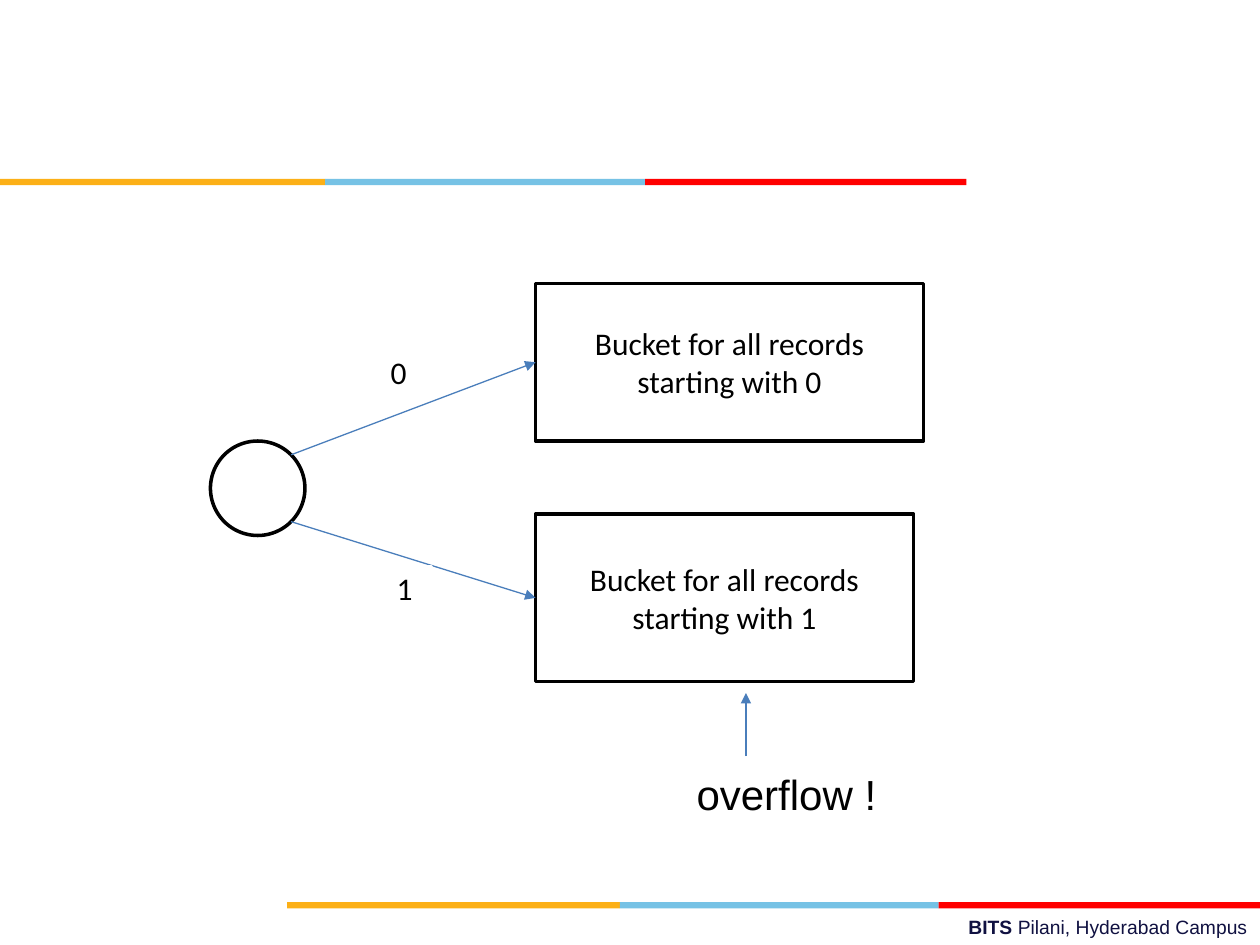
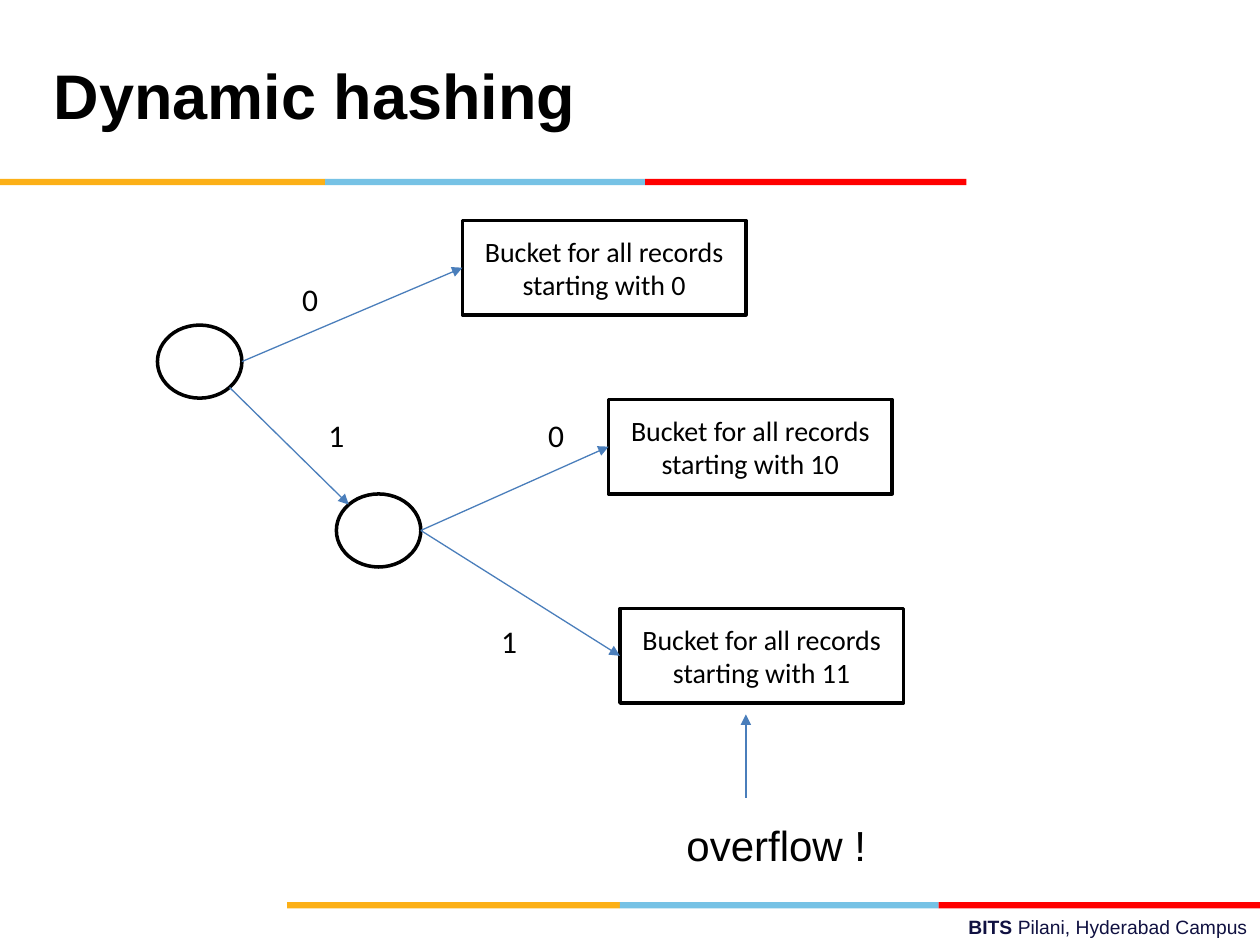
import pptx
import pptx.dml.color
import pptx.enum.shapes
import pptx.enum.text
import pptx.oxml.ns
import pptx.util
from lxml import etree
from pptx.util import Inches

BLACK, WHITE = "000000", "FFFFFF"
GOLD, SKY, RED = "FCB017", "76C2E5", "FF0000"
NAVY, ARROW_BLUE = "101141", "4A7EBB"

# Connection sites as fractions of a shape's width and height
NEAR, FAR = 0.146, 0.854
LEFT, RIGHT = (0, 0.5), (1, 0.5)
TOP_LEFT, TOP_RIGHT, BOTTOM_RIGHT = (NEAR, NEAR), (FAR, NEAR), (FAR, FAR)

SHAPES = pptx.enum.shapes.MSO_SHAPE
ALIGN = pptx.enum.text.PP_ALIGN
MIDDLE = pptx.enum.text.MSO_ANCHOR.MIDDLE


def color(hex_string):
    return pptx.dml.color.RGBColor.from_string(hex_string)


def site(shape, fractions):
    """Return the point of a shape at the given fractions of its size."""
    across, down = fractions
    return (round(shape.left + shape.width * across),
            round(shape.top + shape.height * down))


class Deck:
    def __init__(self):
        self.presentation = pptx.Presentation()
        self.presentation.slide_width = Inches(10)
        self.presentation.slide_height = Inches(7.5)
        self.slide = None

    def new_slide(self):
        layout = self.presentation.slide_layouts[6]
        self.slide = self.presentation.slides.add_slide(layout)
        self.band(1.42, (0, 2.58, 5.12, 7.67))
        self.band(7.16, (2.28, 4.92, 7.45, 10))
        self.footer()

    def shape(self, kind, left, top, width, height, fill, line=None):
        shape = self.slide.shapes.add_shape(
            kind, Inches(left), Inches(top), Inches(width), Inches(height))
        shape.shadow.inherit = False
        shape.fill.solid()
        shape.fill.fore_color.rgb = color(fill)
        if line:
            shape.line.color.rgb = color(line)
            shape.line.width = pptx.util.Pt(2)
        else:
            shape.line.fill.background()
        return shape

    def band(self, top, edges):
        for left, right, fill in zip(edges, edges[1:], (GOLD, SKY, RED)):
            self.shape(SHAPES.RECTANGLE, left, top, right - left, 0.05, fill)

    def set_text(self, shape, text, size, font="Arial", fill=BLACK, align=ALIGN.LEFT):
        shape.text_frame.word_wrap = True
        shape.text_frame.vertical_anchor = MIDDLE
        paragraph = shape.text_frame.paragraphs[0]
        paragraph.text = text
        paragraph.alignment = align
        paragraph.font.size = pptx.util.Pt(size)
        paragraph.font.name = font
        paragraph.font.color.rgb = color(fill)
        return paragraph

    def text(self, left, top, width, height, text, size, **style):
        box = self.slide.shapes.add_textbox(
            Inches(left), Inches(top), Inches(width), Inches(height))
        return self.set_text(box, text, size, **style)

    def footer(self):
        paragraph = self.text(3.58, 7.21, 6.42, 0.29, "BITS ", 11,
                              fill=NAVY, align=ALIGN.RIGHT)
        paragraph.runs[0].font.bold = True
        paragraph.add_run().text = "Pilani, Hyderabad Campus"

    def title(self, text):
        paragraph = self.text(0.33, 0.17, 6.92, 1.25, text, 36)
        paragraph.font.bold = True
        paragraph.line_spacing = pptx.util.Pt(36)

    def node(self, left, top, width, height):
        return self.shape(SHAPES.OVAL, left, top, width, height, WHITE, BLACK)

    def bucket(self, left, top, width, height, prefix, size):
        bucket = self.shape(SHAPES.RECTANGLE, left, top, width, height, WHITE, BLACK)
        self.set_text(bucket, f"Bucket for all records starting with {prefix}", size,
                      font="Calibri", align=ALIGN.CENTER)
        return bucket

    def bit(self, left, top, width, height, digit):
        label = self.shape(SHAPES.RECTANGLE, left, top, width, height, WHITE, WHITE)
        self.set_text(label, digit, 18, font="Calibri", align=ALIGN.CENTER)

    def arrow(self, start, end):
        connector = self.slide.shapes.add_connector(
            pptx.enum.shapes.MSO_CONNECTOR.STRAIGHT, *start, *end)
        connector.line.color.rgb = color(ARROW_BLUE)
        connector.line.width = pptx.util.Pt(0.75)
        qn = pptx.oxml.ns.qn
        properties = connector.element.spPr
        etree.SubElement(properties.find(qn("a:ln")), qn("a:tailEnd"), type="triangle")
        etree.SubElement(properties, qn("a:effectLst"))

    def overflow(self, text_left, text_top, arrow_start, arrow_end):
        self.text(text_left, text_top, 2, 0.48, "overflow !", 24)
        self.arrow((Inches(5.92), Inches(arrow_start)),
                   (Inches(5.92), Inches(arrow_end)))


def build_first_split(deck):
    deck.new_slide()
    root = deck.node(1.67, 3.5, 0.75, 0.75)
    bucket_0 = deck.bucket(4.25, 2.25, 3.08, 1.25, "0", 18)
    bucket_1 = deck.bucket(4.25, 4.08, 3, 1.33, "1", 18)
    deck.arrow(site(root, TOP_RIGHT), site(bucket_0, LEFT))
    deck.arrow(site(root, BOTTOM_RIGHT), site(bucket_1, LEFT))
    deck.bit(2.75, 2.83, 0.83, 0.25, "0")
    deck.bit(3, 4.5, 0.42, 0.33, "1")
    deck.overflow(5.43, 6.06, 6, 5.5)


def build_second_split(deck):
    deck.new_slide()
    deck.title("Dynamic hashing")

    # Nodes and buckets
    root = deck.node(1.25, 2.58, 0.67, 0.58)
    child = deck.node(2.67, 3.92, 0.67, 0.58)
    bucket_0, bucket_10, bucket_11 = [
        deck.bucket(left, top, 2.25, 0.75, prefix, 16)
        for left, top, prefix in ((3.67, 1.75, "0"), (4.83, 3.17, "10"),
                                  (4.92, 4.83, "11"))]

    # Branches and their bits
    deck.arrow(site(root, RIGHT), site(bucket_0, LEFT))
    deck.arrow(site(root, BOTTOM_RIGHT), site(child, TOP_LEFT))
    for bucket in (bucket_10, bucket_11):
        deck.arrow(site(child, RIGHT), site(bucket, LEFT))
    deck.bit(2.25, 2.25, 0.42, 0.25, "0")
    deck.bit(2.42, 3.33, 0.5, 0.25, "1")
    deck.bit(3.83, 4.92, 0.42, 0.33, "1")
    deck.bit(4.25, 3.33, 0.33, 0.25, "0")
    deck.overflow(5.35, 6.46, 6.33, 5.67)


def main():
    deck = Deck()
    build_first_split(deck)
    build_second_split(deck)
    deck.presentation.save("out.pptx")


if __name__ == "__main__":
    main()
